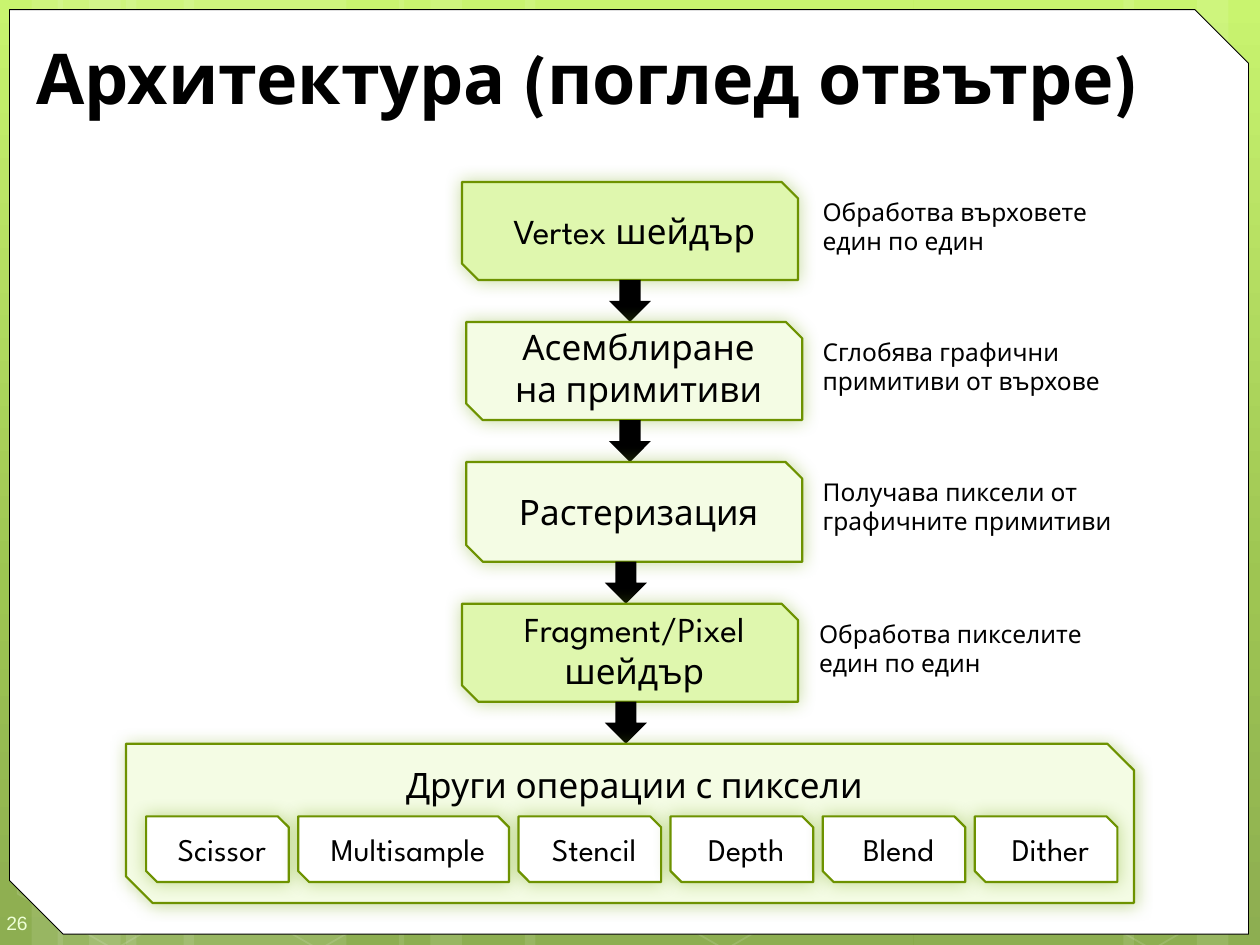
"""Build a slide showing the stages of a graphics pipeline."""
from copy import deepcopy

from lxml import etree
from pptx import Presentation
from pptx import util as u
from pptx.dml.color import RGBColor
from pptx.enum import shapes, text
from pptx.oxml.ns import qn

BLACK = RGBColor(0, 0, 0)
WHITE = RGBColor(0xFF, 0xFF, 0xFF)
OUTLINE = RGBColor(0x6D, 0x92, 0x00)
GLOW = RGBColor(0x74, 0xA5, 0x10)
STRONG = RGBColor(0xDF, 0xF7, 0xAE)
PALE = RGBColor(0xF4, 0xFC, 0xE4)
NUMBER = RGBColor(0xEE, 0xFF, 0xD6)
BACKDROP = [(0, RGBColor(0xC3, 0xF3, 0x5F)), (0.62, RGBColor(0x93, 0xBF, 0x3F)),
            (1, RGBColor(0x81, 0xA5, 0x3E))]
BANDS = [(72, 126), (0, 36), (18, 60), (105, 126), (33, 36), (51, 60), (522, 126),
         (684, 36), (642, 60), (300, 222), (228, 36), (246, 60)]
HEXAGONS = [2, 119, 351, 595]

SHADER = {"left": 264, "fill": STRONG}
FIXED = {"left": 266.4, "fill": PALE}
STAGES = [
    (SHADER, 56, ["Vertex шейдър"], 348, 458, 186, "Обработва върховете един по един"),
    (FIXED, 56, ["Асемблиране", "на примитиви"], 348, 458, 186,
     "Сглобява графични примитиви от върхове"),
    (FIXED, 57, ["Растеризация"], 345.6, 458, 206, "Получава пиксели от графичните примитиви"),
    (SHADER, 56, ["Fragment/Pixel", "шейдър"], 345.6, 456, 186,
     "Обработва пикселите един по един"),
]
OPERATIONS = ["Scissor", "Multisample", "Stencil", "Depth", "Blend", "Dither"]
ARROW = 24
OPERATION_GAP = 5.4


def set_all(target, values):
    """Set each attribute of the target from a dict."""
    for name, value in values.items():
        setattr(target, name, value)


def set_opacity(fill_owner, percent):
    """Make the solid colour below an element partly transparent."""
    for color in fill_owner.iter(qn("a:srgbClr")):
        etree.SubElement(color, qn("a:alpha")).set("val", str(percent * 1000))


class PipelinePage:
    """Hold the style and the current slide."""

    font = "League Spartan"

    def __init__(self, deck):
        """Add a title slide page with a gradient background."""
        self.page = deck.slides.add_slide(deck.slide_layouts[5])
        fill = self.page.background.fill
        fill.gradient()
        fill.gradient_angle = 270
        stops = self.page.element.find(".//" + qn("a:gsLst"))
        stops.append(deepcopy(stops[-1]))
        for stop, (position, color) in zip(fill.gradient_stops, BACKDROP):
            stop.position = position
            stop.color.rgb = color

    def shape(self, kind, area, fill=None, line=None, width=1.0):
        """Add a flat preset shape."""
        shape = self.page.shapes.add_shape(kind, *map(u.Pt, area))
        shape.shadow.inherit = False
        for part, color in ((shape.fill, fill), (shape.line.fill, line)):
            if color is None:
                part.background()
            else:
                part.solid()
                part.fore_color.rgb = color
        if line is not None:
            shape.line.width = u.Pt(width)
        return shape

    def band(self, left, width):
        """Add a translucent vertical band."""
        band = self.shape(shapes.MSO_SHAPE.RECTANGLE, (left, 0, width, 540), WHITE)
        set_opacity(band.element, 10)

    def hexagon(self, left):
        """Add a faint hexagon outline at the foot of the page."""
        hexagon = self.shape(shapes.MSO_SHAPE.HEXAGON, (left, 425, 126, 109), line=WHITE)
        hexagon.rotation = 30
        hexagon.adjustments[0] = 0.285
        set_opacity(hexagon.element, 12)

    def panel(self):
        """Add the white sheet with cut corners."""
        panel = self.shape(shapes.MSO_SHAPE.SNIP_2_DIAG_RECTANGLE, (5.4, 5.5, 708, 528.3),
                           WHITE, BLACK, 0.5)
        panel.adjustments[1] = 0.058

    def fill_text(self, box, lines, size, frame, indent=5, color=BLACK, font=None, bold=False,
                  **para_format):
        """Fill a box with formatted paragraphs."""
        set_all(box.text_frame, frame)
        for index, line in enumerate(lines):
            para = box.text_frame.paragraphs[0] if index == 0 else box.text_frame.add_paragraph()
            properties = para._p.get_or_add_pPr()
            properties.set("marL", str(u.Pt(indent)))
            properties.set("indent", "0")
            set_all(para, para_format)
            if index:
                para.space_before = u.Pt(size / 5)
            span = para.add_run()
            span.text = line
            set_all(span.font, {"name": font or self.font, "size": u.Pt(size), "bold": bold})
            span.font.color.rgb = color

    def title(self, wording):
        """Place the title placeholder in front of the sheet."""
        box = self.page.shapes.title
        set_all(box, {"left": u.Pt(13.7), "top": u.Pt(18), "width": u.Pt(682),
                      "height": u.Pt(51)})
        self.page.shapes._spTree.append(box.element)
        frame = {"vertical_anchor": text.MSO_ANCHOR.MIDDLE, "auto_size": text.MSO_AUTO_SIZE.NONE}
        self.fill_text(box, [wording], 40, frame, indent=0, bold=True,
                       alignment=text.PP_ALIGN.LEFT)

    def step(self, area, fill, lines, size=20, anchor=text.MSO_ANCHOR.MIDDLE):
        """Add a glowing box with cut corners."""
        box = self.shape(shapes.MSO_SHAPE.SNIP_2_DIAG_RECTANGLE, area, fill, OUTLINE, 1.25)
        glow = etree.SubElement(box.element.find(".//" + qn("a:effectLst")), qn("a:outerShdw"),
                                blurRad=str(u.Pt(10)), dist="0", dir="2700000",
                                algn="ctr", rotWithShape="0")
        etree.SubElement(glow, qn("a:srgbClr"), val=str(GLOW))
        set_opacity(glow, 40)
        frame = {"margin_left": 0, "margin_right": 0, "word_wrap": False,
                 "vertical_anchor": anchor}
        spacing = {"line_spacing": u.Pt(size)} if len(lines) > 1 else {}
        self.fill_text(box, lines, size, frame, alignment=text.PP_ALIGN.CENTER, **spacing)

    def arrow(self, left, top):
        """Add a block arrow pointing down."""
        area = (left, top, ARROW, ARROW)
        self.shape(shapes.MSO_SHAPE.RIGHT_ARROW, area, BLACK).rotation = 90

    def label(self, area, wording, size=14, **style):
        """Add a wrapped text box."""
        frame = {"word_wrap": True, **style.pop("frame", {})}
        box = self.page.shapes.add_textbox(*map(u.Pt, area))
        self.fill_text(box, [wording], size, frame, **style)


def main():
    """Compose and save the deck."""
    deck = Presentation()
    set_all(deck, {"slide_width": u.Pt(720), "slide_height": u.Pt(540)})
    page = PipelinePage(deck)
    for left, width in BANDS:
        page.band(left, width)
    for left in HEXAGONS:
        page.hexagon(left)
    page.panel()
    page.label((0, 511, 42, 29), "26", 11, indent=0, color=NUMBER, font="Arial",
               frame={"margin_left": u.Pt(3.6), "margin_top": u.Pt(10.8), "margin_right": 0,
                      "margin_bottom": u.Pt(7.2), "vertical_anchor": text.MSO_ANCHOR.MIDDLE})
    page.title("Архитектура (поглед отвътре)")

    top = 104
    for kind, height, lines, arrow_left, note_left, note_width, note in STAGES:
        page.step((kind["left"], top, 192, height), kind["fill"], lines)
        page.label((note_left, top + 5, note_width, 41), note)
        page.arrow(arrow_left, top + height)
        top += height + ARROW

    page.step((72, top, 576, 91), PALE, ["Други операции с пиксели"],
              anchor=text.MSO_ANCHOR.TOP)
    left = 83.5
    for name in OPERATIONS:
        width = 120.5 if name == "Multisample" else 81.5
        page.step((left, 466.5, width, 37.5), WHITE, [name], 18)
        left += width + OPERATION_GAP
    deck.save("out.pptx")


if __name__ == "__main__":
    main()
